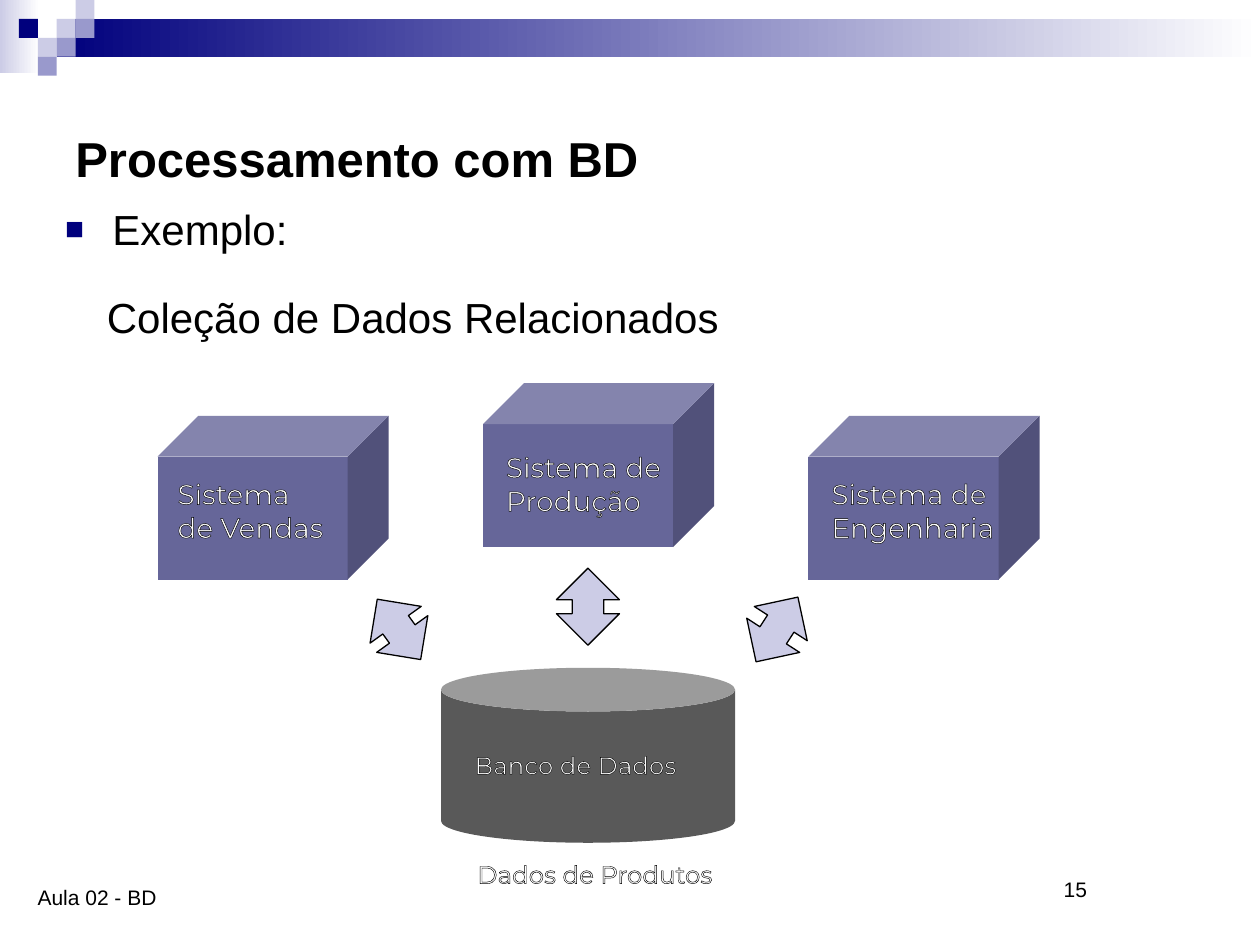
import pptx
import pptx.util
import pptx.dml.color
import pptx.enum.shapes
import pptx.enum.text
import pptx.oxml
import pptx.oxml.ns

Pt = pptx.util.Pt
SHAPE = pptx.enum.shapes.MSO_SHAPE
ALIGN = pptx.enum.text.PP_ALIGN
ANCHOR = pptx.enum.text.MSO_ANCHOR

COLORS = {
    "navy": "00007D", "lavender": "CCCCE6", "periwinkle": "9999CC",
    "cube": "666699", "database": "595959", "black": "000000", "white": "FFFFFF",
}


def rgb(name):
    return pptx.dml.color.RGBColor.from_string(COLORS[name])


def element(xml):
    return pptx.oxml.parse_xml(xml.replace(">", f" {pptx.oxml.ns.nsdecls('a')}>", 1))


class SlideBuilder:
    """Holds the text style and the slide being drawn; lengths are in points."""

    body_font = "Arial"
    label_font = "Montserrat"

    def __init__(self, slide):
        self.slide = slide

    def shape(self, kind, box, fill, line=None, rotation=0, adjustments=()):
        sp = self.slide.shapes.add_shape(kind, *map(Pt, box))
        sp.shadow.inherit = False
        sp.rotation = rotation
        for i, value in enumerate(adjustments):
            sp.adjustments[i] = value
        sp.fill.solid()
        sp.fill.fore_color.rgb = rgb(fill)
        if line:
            sp.line.color.rgb = rgb(line)
            sp.line.width = Pt(0.75)
        else:
            sp.line.fill.background()
        return sp

    def fading_bar(self, box, start):
        sp = self.shape(SHAPE.RECTANGLE, box, start)
        sp.fill.gradient()
        sp.fill.gradient_angle = 0
        for stop, name in zip(sp.fill.gradient_stops, (start, "white")):
            stop.color.rgb = rgb(name)

    def double_arrow(self, box, rotation=0):
        self.shape(SHAPE.UP_DOWN_ARROW, box, "lavender", "black", rotation, (0.23, 0.5))

    def text(self, box, text, size, font=body_font, color="black", bold=False,
             align=ALIGN.LEFT, anchor=ANCHOR.TOP):
        tb = self.slide.shapes.add_textbox(*map(Pt, box))
        tf = tb.text_frame
        tf.text = text
        tf.word_wrap = True
        tf.vertical_anchor = anchor
        for p in tf.paragraphs:
            p.alignment = align
            for r in p.runs:
                r.font.name = font
                r.font.size = Pt(size)
                r.font.bold = bold
                r.font.color.rgb = rgb(color)
        return tf

    def bullet(self, box, text, size):
        p = self.text(box, text, size).paragraphs[0]
        p.space_before = Pt(6)
        pPr = p._p.get_or_add_pPr()
        pPr.set("marL", str(Pt(27)))
        pPr.set("indent", str(Pt(-27)))
        for xml in (f'<a:buClr><a:srgbClr val="{COLORS["navy"]}"/></a:buClr>',
                    '<a:buSzPct val="75000"></a:buSzPct>',
                    '<a:buFont typeface="Arial"></a:buFont>',
                    '<a:buChar char="■"></a:buChar>'):
            pPr.append(element(xml))

    def outlined_label(self, box, text, size):
        """White text with a thin black contour."""
        tf = self.text(box, text, size, self.label_font, "white")
        for p in tf.paragraphs:
            for r in p.runs:
                r._r.get_or_add_rPr().insert(0, element(
                    f'<a:ln w="{Pt(0.75)}"><a:solidFill>'
                    f'<a:srgbClr val="{COLORS["black"]}"/></a:solidFill></a:ln>'))


def add_header(s):
    s.fading_bar((0, 0, 22.5, 42), "lavender")
    s.fading_bar((32.4, 10.8, 687.6, 21.6), "navy")
    tile = 10.8
    mosaic = [(3, 1, "lavender"), (4, 0, "lavender"), (4, 1, "periwinkle"),
              (2, 2, "lavender"), (1, 1, "navy"), (3, 2, "periwinkle"),
              (2, 3, "periwinkle")]
    for column, row, color in mosaic:
        s.shape(SHAPE.RECTANGLE, (column * tile, row * tile, tile, tile), color)


def add_diagram(s):
    for left, top in ((90, 237.6), (276, 219), (462, 237.6)):
        s.shape(SHAPE.CUBE, (left, top, 132, 93.6), "cube", adjustments=(0.25,))
    for left, top, label in ((282, 253.5, "Sistema de\nProdução"),
                             (94.3, 268.8, "Sistema\nde Vendas"),
                             (468, 268.8, "Sistema de\nEngenharia")):
        s.outlined_label((left, top, 120, 46.8), label, 16)

    s.shape(SHAPE.CAN, (252, 381.6, 168, 100), "database", adjustments=(0.25,))
    s.outlined_label((265.7, 487.4, 170, 21), "Dados de Produtos", 14)
    s.outlined_label((264.2, 425, 170, 21), "Banco de Dados", 14)

    s.double_arrow((318, 324.7, 36, 44))
    s.double_arrow((426, 337.7, 36, 44), 32.9)
    s.double_arrow((210, 338.4, 36, 42.5), 324.3)


def main():
    prs = pptx.Presentation()
    prs.slide_width, prs.slide_height = Pt(720), Pt(540)
    s = SlideBuilder(prs.slides.add_slide(prs.slide_layouts[6]))

    add_header(s)
    s.text((36, 36, 648, 108), "Processamento com BD", 28, bold=True, anchor=ANCHOR.MIDDLE)
    s.bullet((30.2, 112.6, 648, 306), "Exemplo:", 24)
    s.text((54, 163, 374.4, 75), "Coleção de Dados Relacionados", 24, align=ALIGN.JUSTIFY)
    add_diagram(s)
    s.text((14.4, 487.4, 228, 36), "Aula 02 - BD", 12, anchor=ANCHOR.BOTTOM)
    s.text((530.6, 481.3, 167.8, 37.4), "15", 12, align=ALIGN.CENTER, anchor=ANCHOR.BOTTOM)

    prs.save("out.pptx")


if __name__ == "__main__":
    main()
